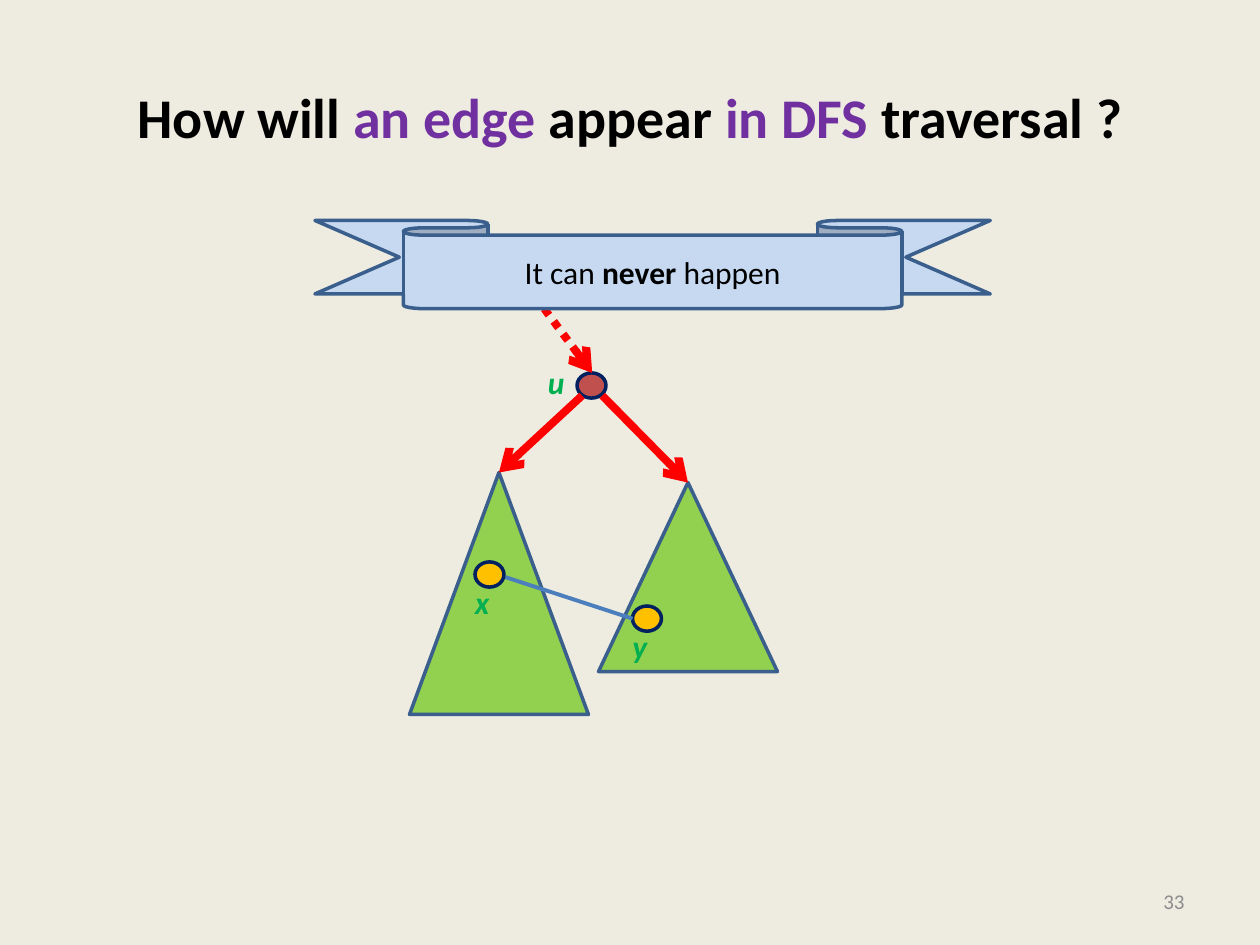
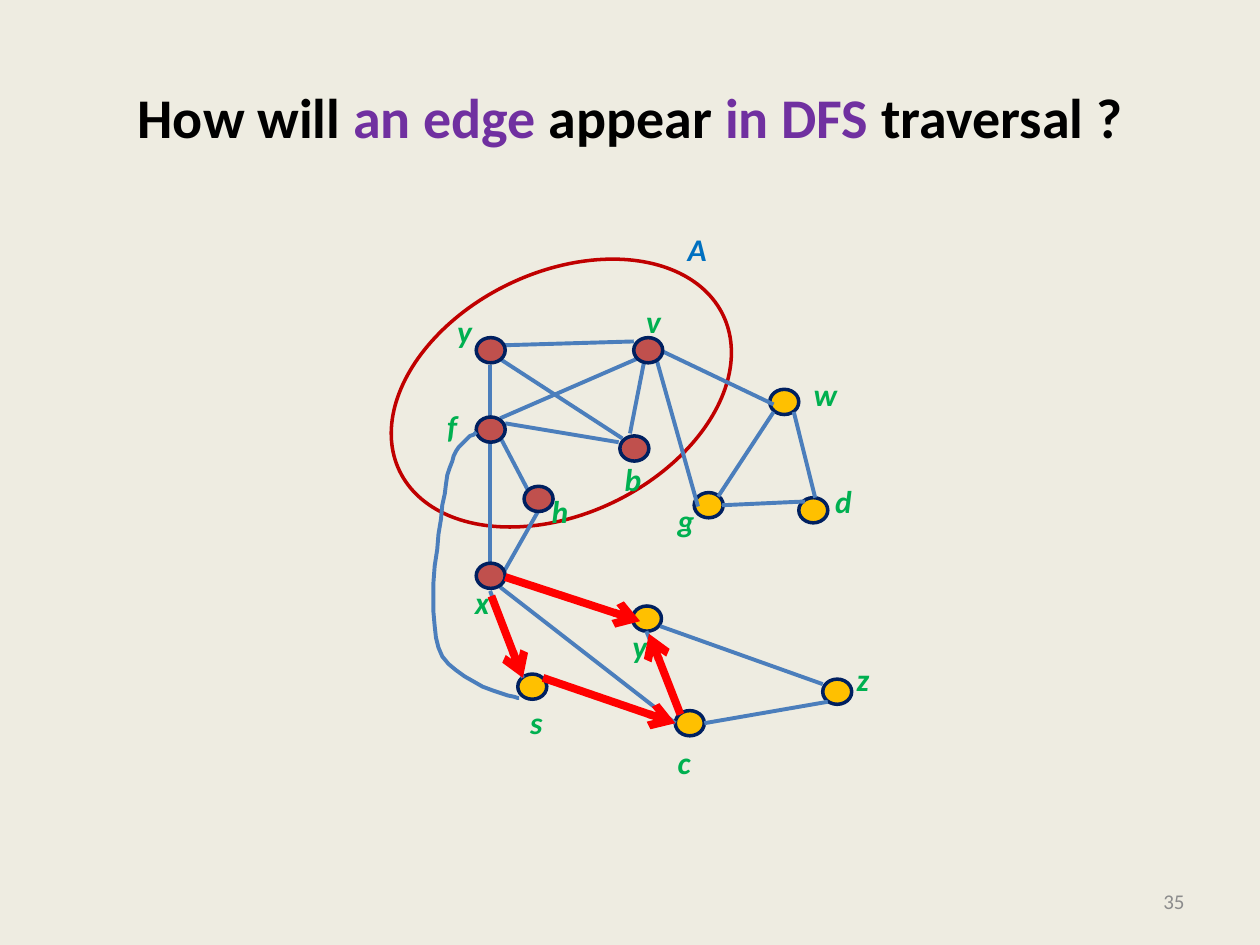
from lxml.etree import SubElement
from pptx import Presentation
from pptx.dml.color import RGBColor
from pptx.enum.dml import MSO_LINE
from pptx.enum.shapes import MSO_CONNECTOR, MSO_SHAPE
from pptx.enum.text import MSO_ANCHOR, MSO_AUTO_SIZE, PP_ALIGN
from pptx.oxml.ns import qn
from pptx.util import Pt

PX = 9144  # 100 px to the inch
FONT = "Calibri"
BLACK = RGBColor(0x00, 0x00, 0x00)
CREAM = RGBColor(0xEE, 0xEC, 0xE1)
PURPLE = RGBColor(0x70, 0x30, 0xA0)
GREY = RGBColor(0x8C, 0x8C, 0x8C)
LEAF = RGBColor(0x92, 0xD0, 0x50)
STEEL = RGBColor(0x3A, 0x5F, 0x8C)
NAVY = RGBColor(0x00, 0x20, 0x60)
BRICK = RGBColor(0xC0, 0x50, 0x4D)
AMBER = RGBColor(0xFF, 0xC0, 0x00)
RED = RGBColor(0xFF, 0x00, 0x00)
DARK_RED = RGBColor(0xC0, 0x00, 0x00)
EDGE_BLUE = RGBColor(0x4B, 0x7E, 0xBC)
LABEL_GREEN = RGBColor(0x00, 0xB0, 0x50)
LABEL_BLUE = RGBColor(0x00, 0x70, 0xC0)
PALE_BLUE = RGBColor(0xC6, 0xD9, 0xF1)

TITLE_BOX = (50, 30, 900, 125)
NUMBER_BOX = (717, 695, 233, 40)
NODE_SIZE = (23, 20)
LABEL_HEIGHT = 40
TITLE_RUNS = [("How will", BLACK), (" an edge ", PURPLE), ("appear", BLACK),
              (" in DFS ", PURPLE), ("traversal ?", BLACK)]

# Labels are (text, left, top, width); edges are (x1, y1, x2, y2).
XY_LABELS = [("x", 367, 458, 32), ("y", 492, 493, 32)]
XY_EDGE = (401, 458, 502, 491)
Y_NODE = (502, 481)

SUBTREES = [(325, 375, 142, 192), (475, 383, 142, 150)]
U_NODE = (458, 296)
U_LABEL = ("u", 425, 283, 34)
X_NODE = (377, 446)
TREE_ARROWS = [(478, 314, 546, 383), (462, 314, 396, 375)]
ARROW_INTO_U = (417, 225, 470, 296)
BANNER_BOX = (250, 175, 536, 70)
BANNER_RUNS = [("It can ", False), ("never ", True), ("happen", False)]

UNVISITED = [Y_NODE, (411, 535), (653, 539), (551, 391), (536, 564), (634, 395), (611, 309)]
VISITED = [(378, 447), (503, 268), (378, 268), (378, 331), (492, 346), (416, 386)]
GRAPH_EDGES = [
    (415, 538, 389, 469), (647, 395, 630, 327), (559, 574, 657, 557),
    (513, 501, 540, 567), (573, 401, 639, 398), (570, 394, 614, 327),
    (397, 466, 536, 574), (653, 543, 524, 497), (401, 336, 491, 351),
    (401, 274, 503, 271), (389, 290, 389, 331), (389, 349, 389, 447),
    (524, 278, 614, 321), (397, 347, 419, 389), (511, 288, 500, 344),
    (397, 285, 494, 348), (505, 285, 397, 332), (521, 285, 554, 402),
    (427, 406, 397, 459),
]
GRAPH_LABELS = XY_LABELS + [
    ("z", 670, 519, 30), ("c", 528, 585, 31), ("d", 653, 378, 34),
    ("g", 528, 393, 34), ("w", 636, 293, 39), ("s", 411, 553, 30),
    ("y", 353, 243, 32), ("f", 345, 318, 28), ("b", 486, 360, 34),
    ("h", 428, 386, 34), ("v", 503, 235, 32),
]
SET_A_BOX = (303, 216, 285, 192)
SET_A_ROTATION = 334.3
SET_A_LABEL = ("A", 536, 178, 35)
DFS_ARROWS = [(401, 458, 508, 493), (390, 473, 415, 538),
              (431, 538, 536, 574), (540, 567, 515, 503)]
# Bezier curve from f to s: each part is two control points and an end point.
CURVE_START = (378, 343)
CURVE_PARTS = [((369, 349), (359, 355), (354, 384)),
               ((349, 412), (338, 486), (348, 514)),
               ((357, 543), (412, 554), (412, 554))]
CURVE_STEPS = 12


def emu(lengths):
    return [length * PX for length in lengths]


def set_font(paragraph, size, color=None, bold=None, italic=None):
    font = paragraph.font
    font.name, font.size, font.bold, font.italic = FONT, Pt(size), bold, italic
    if color is not None:
        font.color.rgb = color


def add_figure(slide, preset, box, fill, line):
    shape = slide.shapes.add_shape(preset, *emu(box))
    shape.shadow.inherit = False
    if fill is None:
        shape.fill.background()
    else:
        shape.fill.solid()
        shape.fill.fore_color.rgb = fill
    shape.line.color.rgb = line
    shape.line.width = Pt(2)
    return shape


def add_node(slide, corner, fill):
    add_figure(slide, MSO_SHAPE.OVAL, corner + NODE_SIZE, fill, NAVY)


def add_edge(slide, ends, color=EDGE_BLUE, width=2.25):
    edge = slide.shapes.add_connector(MSO_CONNECTOR.STRAIGHT, *emu(ends))
    edge.line.color.rgb = color
    edge.line.width = Pt(width)
    SubElement(edge._element.spPr, qn("a:effectLst"))
    return edge


def add_arrow(slide, ends, dash=None):
    arrow = add_edge(slide, ends, RED, 4.5)
    if dash is not None:
        arrow.line.dash_style = dash
    SubElement(arrow.line._get_or_add_ln(), qn("a:tailEnd"), type="arrow")


def add_label(slide, label, color=LABEL_GREEN):
    text, left, top, width = label
    frame = slide.shapes.add_textbox(*emu((left, top, width, LABEL_HEIGHT))).text_frame
    frame.word_wrap = False
    frame.auto_size = MSO_AUTO_SIZE.SHAPE_TO_FIT_TEXT
    frame.text = text
    set_font(frame.paragraphs[0], 18, color, bold=True, italic=True)


def add_curve(slide):
    points, start = [], CURVE_START
    for first, second, end in CURVE_PARTS:
        for step in range(1, CURVE_STEPS + 1):
            t = step / CURVE_STEPS
            points.append([
                (1 - t) ** 3 * a + 3 * (1 - t) ** 2 * t * b + 3 * (1 - t) * t ** 2 * c + t ** 3 * d
                for a, b, c, d in zip(start, first, second, end)])
        start = end
    builder = slide.shapes.build_freeform(*CURVE_START, scale=PX)
    builder.add_line_segments(points, close=False)
    curve = builder.convert_to_shape()
    curve.shadow.inherit = False
    curve.fill.background()
    curve.line.color.rgb = EDGE_BLUE
    curve.line.width = Pt(2.25)


def add_titled_slide(presentation, number):
    slide = presentation.slides.add_slide(presentation.slide_layouts[5])
    title = slide.shapes.title
    title.left, title.top, title.width, title.height = emu(TITLE_BOX)
    title.text_frame.vertical_anchor = MSO_ANCHOR.MIDDLE
    paragraph = title.text_frame.paragraphs[0]
    paragraph.alignment = PP_ALIGN.CENTER
    set_font(paragraph, 32, bold=True)
    for text, color in TITLE_RUNS:
        run = paragraph.add_run()
        run.text = text
        run.font.color.rgb = color

    frame = slide.shapes.add_textbox(*emu(NUMBER_BOX)).text_frame
    frame.word_wrap = True
    frame.vertical_anchor = MSO_ANCHOR.MIDDLE
    frame.text = str(number)
    frame.paragraphs[0].alignment = PP_ALIGN.RIGHT
    set_font(frame.paragraphs[0], 12, GREY)
    return slide


def add_banner(slide):
    banner = add_figure(slide, MSO_SHAPE.DOWN_RIBBON, BANNER_BOX, PALE_BLUE, STEEL)
    banner.adjustments[0] = 0.167
    banner.adjustments[1] = 0.738
    banner.text_frame.vertical_anchor = MSO_ANCHOR.MIDDLE
    paragraph = banner.text_frame.paragraphs[0]
    paragraph.alignment = PP_ALIGN.CENTER
    set_font(paragraph, 18, BLACK)
    for text, bold in BANNER_RUNS:
        run = paragraph.add_run()
        run.text = text
        run.font.bold = bold


def build_subtrees_slide(presentation):
    slide = add_titled_slide(presentation, 33)
    for box in SUBTREES:
        add_figure(slide, MSO_SHAPE.ISOSCELES_TRIANGLE, box, LEAF, STEEL)
    add_node(slide, U_NODE, BRICK)
    for ends in TREE_ARROWS:
        add_arrow(slide, ends)
    add_arrow(slide, ARROW_INTO_U, MSO_LINE.ROUND_DOT)
    add_banner(slide)
    add_node(slide, Y_NODE, AMBER)
    add_edge(slide, XY_EDGE)
    for label in [U_LABEL] + XY_LABELS:
        add_label(slide, label)
    add_node(slide, X_NODE, AMBER)


def build_graph_slide(presentation):
    slide = add_titled_slide(presentation, 35)
    for corner in UNVISITED:
        add_node(slide, corner, AMBER)
    set_a = add_figure(slide, MSO_SHAPE.OVAL, SET_A_BOX, None, DARK_RED)
    set_a.rotation = SET_A_ROTATION
    add_label(slide, SET_A_LABEL, LABEL_BLUE)
    for ends in GRAPH_EDGES:
        add_edge(slide, ends)
    for corner in VISITED:
        add_node(slide, corner, BRICK)
    add_curve(slide)
    for label in GRAPH_LABELS:
        add_label(slide, label)
    for ends in DFS_ARROWS:
        add_arrow(slide, ends)


def main():
    presentation = Presentation()
    presentation.slide_width, presentation.slide_height = emu((1000, 750))
    background = presentation.slide_master.background.fill
    background.solid()
    background.fore_color.rgb = CREAM
    build_subtrees_slide(presentation)
    build_graph_slide(presentation)
    presentation.save("out.pptx")


if __name__ == "__main__":
    main()
